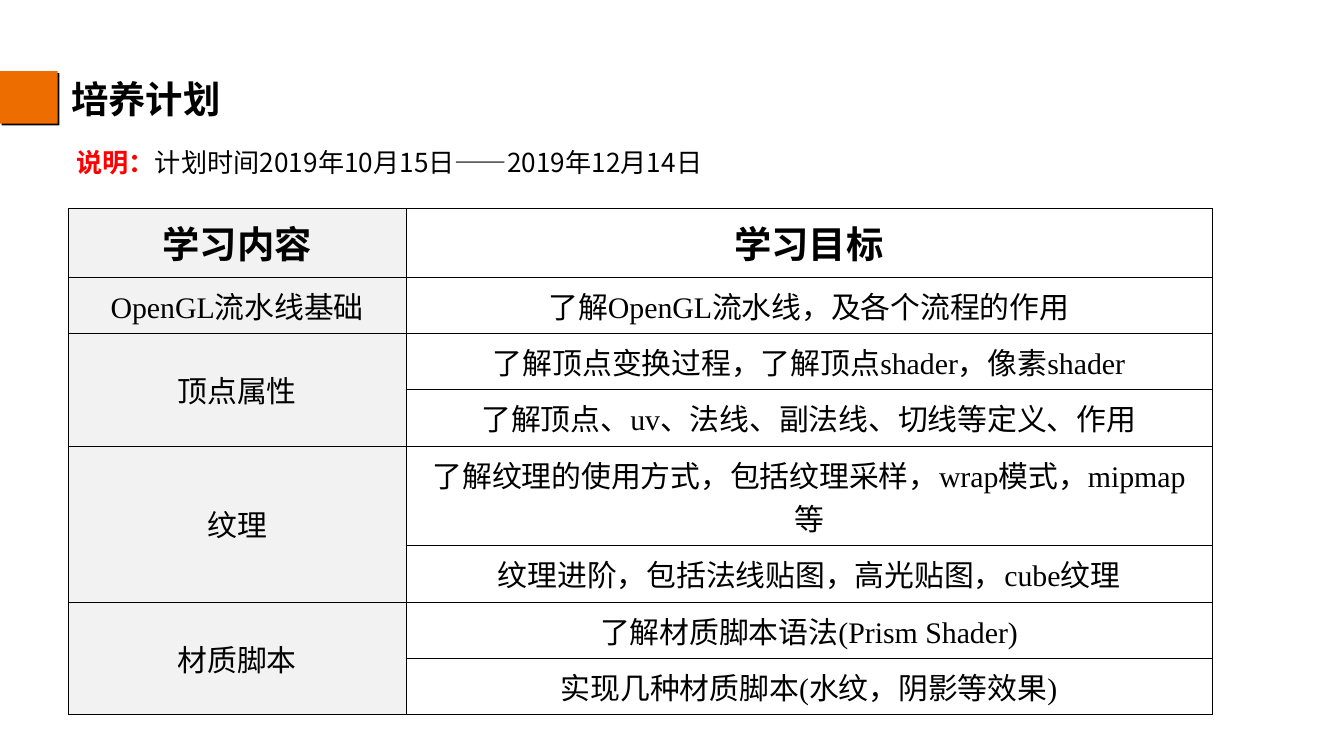
"""Build the training plan slide with its table of topics and goals."""
from lxml import etree
from pptx import Presentation, oxml, util as u
from pptx.dml.color import RGBColor
from pptx.enum import shapes, text
from pptx.oxml.ns import nsdecls, qn

SANS, SERIF = "Noto Sans CJK SC", "Times New Roman"
BLACK, WHITE, RED, ORANGE, GREY = "000000", "FFFFFF", "FF0000", "ED6D00", "F2F2F2"


def color(hex_value):
    return RGBColor.from_string(hex_value)


def add_run(paragraph, words, face, size, bold, ink=BLACK):
    run = paragraph.add_run()
    run.text = words
    run.font.color.rgb = color(ink)
    for key, value in {"name": face, "size": u.Pt(size), "bold": bold}.items():
        setattr(run.font, key, value)
    etree.SubElement(run.font._element, qn("a:ea"), typeface=SANS)


plan = Presentation()
plan.slide_width = u.Inches(10)
plan.slide_height = plan.slide_width * 9 // 16
slide = plan.slides.add_slide(plan.slide_layouts[6])

heading = slide.shapes.add_textbox(*map(u.Inches, (0.43, 0.43, 2.52, 0.65)))
heading.fill.solid()
heading.fill.fore_color.rgb = color(WHITE)
heading.text_frame.word_wrap = True
heading.text_frame.vertical_anchor = text.MSO_ANCHOR.MIDDLE
heading_line = heading.text_frame.paragraphs[0]
heading_line.line_spacing = 0.9
add_run(heading_line, "培养计划", SANS, 20, True)

topics = [
    ("学习内容", ["学习目标"]),
    ("OpenGL流水线基础", ["了解OpenGL流水线，及各个流程的作用"]),
    ("顶点属性", ["了解顶点变换过程，了解顶点shader，像素shader",
              "了解顶点、uv、法线、副法线、切线等定义、作用"]),
    ("纹理", ["了解纹理的使用方式，包括纹理采样，wrap模式，mipmap等",
            "纹理进阶，包括法线贴图，高光贴图，cube纹理"]),
    ("材质脚本", ["了解材质脚本语法(Prism Shader)",
              "实现几种材质脚本(水纹，阴影等效果)"]),
]
row_heights = [0.51] + [0.42] * 3 + [0.74] + [0.42] * 3
column_widths = [2.51, 6]
schedule = slide.shapes.add_table(
    len(row_heights), len(column_widths),
    *map(u.Inches, (0.51, 1.55, sum(column_widths), sum(row_heights)))).table
for column, width in zip(schedule.columns, column_widths):
    column.width = u.Inches(width)
for row, height in zip(schedule.rows, row_heights):
    row.height = u.Inches(height)

entries = {}
first = 0
for topic, goals in topics:
    entries[first, 0] = topic
    for offset, goal in enumerate(goals):
        entries[first + offset, 1] = goal
    last = first + len(goals) - 1
    if last > first:
        schedule.cell(first, 0).merge(schedule.cell(last, 0))
    first = last + 1

for row in range(len(row_heights)):
    for column in range(len(column_widths)):
        cell = schedule.cell(row, column)
        cell.vertical_anchor = text.MSO_ANCHOR.MIDDLE
        for side in ("lnL", "lnR", "lnT", "lnB"):
            cell._tc.get_or_add_tcPr().append(oxml.parse_xml(
                f'<a:{side} {nsdecls("a")} w="3175"><a:solidFill>'
                f'<a:srgbClr val="{BLACK}"/></a:solidFill></a:{side}>'))
        if column == 0:
            cell.fill.solid()
            cell.fill.fore_color.rgb = color(GREY)
        else:
            cell.fill.background()
        if (row, column) in entries:
            line = cell.text_frame.paragraphs[0]
            line.alignment = text.PP_ALIGN.CENTER
            header = row == 0
            add_run(line, entries[row, column], SERIF, 20 if header else 16, header)

accent = slide.shapes.add_shape(
    shapes.MSO_SHAPE.RECTANGLE, *map(u.Inches, (0, 0.53, 0.43, 0.39)))
accent.fill.solid()
accent.fill.fore_color.rgb = color(ORANGE)
accent.line.fill.background()
accent.shadow.inherit = False
effects = accent._element.spPr.find(qn("a:effectLst"))
effects.append(oxml.parse_xml(
    f'<a:outerShdw {nsdecls("a")} blurRad="0" dist="{u.Pt(1.4)}" dir="2700000" '
    f'algn="ctr" rotWithShape="0"><a:srgbClr val="{BLACK}"/></a:outerShdw>'))

note = slide.shapes.add_textbox(*map(u.Inches, (0.47, 0.92, 8.14, 0.45)))
note.text_frame.word_wrap = True
note.text_frame.auto_size = text.MSO_AUTO_SIZE.SHAPE_TO_FIT_TEXT
note_line = note.text_frame.paragraphs[0]
note_line.line_spacing = 1.5
add_run(note_line, "说明：", SANS, 14, True, RED)
add_run(note_line, "计划时间2019年10月15日——2019年12月14日", SANS, 14, False)

plan.save("out.pptx")
